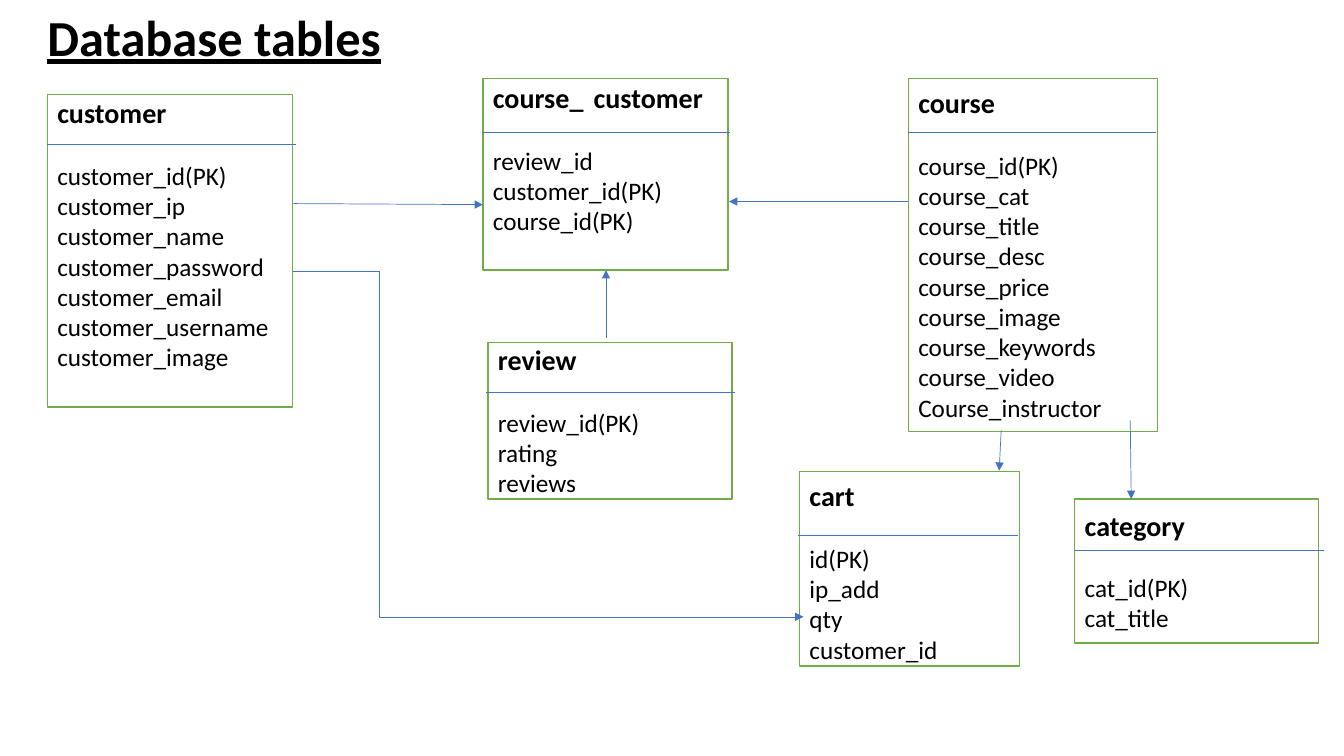
from pptx import Presentation
from pptx.dml.color import RGBColor
from pptx.enum.shapes import MSO_CONNECTOR as Link, MSO_SHAPE as Preset
from pptx.enum.text import MSO_ANCHOR as Anchor, MSO_AUTO_SIZE as AutoSize, PP_ALIGN as Align
from pptx.oxml.ns import qn
from pptx.util import Inches, Pt
from lxml.etree import SubElement

GREEN, BLUE, WHITE, BLACK = "70AD47", "4472C4", "FFFFFF", "000000"
TITLE_FONT = {"name": "Calibri", "size": Pt(36), "bold": True, "underline": True}
NAME_FONT = {"name": "Calibri", "size": Pt(20), "bold": True}
FIELD_FONT = {"name": "Calibri", "size": Pt(18), "bold": False}
FIELD_GAP = Pt(22)

ENTITIES = [
    {"name": "customer", "box": (0.47, 0.94, 2.43, 3.1), "inset": 0.01,
     "divider": (0.47, 1.43, 2.94),
     "fields": ["customer_id(PK)", "customer_ip", "customer_name", "customer_password",
                "customer_email", "customer_username", "customer_image"]},
    {"name": "course", "box": (9.01, 0.78, 2.47, 3.5), "inset": 0.07,
     "divider": (9.01, 1.31, 11.47),
     "fields": ["course_id(PK)", "course_cat", "course_title", "course_desc", "course_price",
                "course_image", "course_keywords", "course_video", "Course_instructor"]},
    {"name": "course_\tcustomer", "box": (4.79, 0.78, 2.43, 1.9), "inset": 0.02,
     "divider": (4.78, 1.31, 7.24),
     "fields": ["review_id", "customer_id(PK)", "course_id(PK)"]},
    {"name": "cart", "box": (7.93, 4.68, 2.18, 1.93), "inset": 0.07,
     "divider": (7.91, 5.31, 10.1),
     "fields": ["id(PK)", "ip_add", "qty", "customer_id"]},
    {"name": "category", "box": (10.66, 4.95, 2.42, 1.43), "inset": 0.09,
     "divider": (10.66, 5.46, 13.13),
     "fields": ["cat_id(PK)", "cat_title"]},
    {"name": "review", "box": (4.84, 3.4, 2.42, 1.55), "inset": 0,
     "divider": (4.82, 3.89, 7.29),
     "fields": ["review_id(PK)", "rating", "reviews"]},
]

RELATIONS = [
    (2.91, 2.02, 4.79, 2.03),
    (9.01, 2, 7.23, 2),
    (9.93, 4.27, 9.91, 4.67),
    (6.01, 3.35, 6.01, 2.68),
    (11.21, 4.17, 11.22, 4.95),
]
CUSTOMER_TO_CART = (2.91, 2.69, 7.97, 6.12)
CART_BEND = 16900


def rgb(value):
    return RGBColor.from_string(value)


def apply(target, values):
    for key, value in values.items():
        setattr(target, key, value)


def write(paragraph, text, font):
    run = paragraph.add_run()
    run.text = text
    apply(run.font, font)
    run.font.color.rgb = rgb(BLACK)


def add_title(slide, text):
    title = slide.shapes.title
    apply(title, {"left": Inches(0.37), "top": Inches(0.16),
                  "width": Inches(11.5), "height": Inches(0.48)})
    apply(title.text_frame, {"vertical_anchor": Anchor.MIDDLE, "auto_size": AutoSize.NONE})
    heading = title.text_frame.paragraphs[0]
    apply(heading, {"alignment": Align.LEFT, "line_spacing": 0.9})
    write(heading, text, TITLE_FONT)


def add_line(slide, ends, kind=Link.STRAIGHT):
    line = slide.shapes.add_connector(kind, *map(Inches, ends))
    line.line.color.rgb = rgb(BLUE)
    line.line.width = Pt(0.5)
    SubElement(line._element.spPr, qn("a:effectLst"))
    return line


def add_arrow(slide, ends, kind=Link.STRAIGHT):
    arrow = add_line(slide, ends, kind)
    SubElement(arrow.line._get_or_add_ln(), qn("a:tailEnd"), type="triangle")
    return arrow


def add_elbow_arrow(slide, ends, bend):
    arrow = add_arrow(slide, ends, Link.ELBOW)
    guides = arrow._element.spPr.find(qn("a:prstGeom")).find(qn("a:avLst"))
    SubElement(guides, qn("a:gd"), name="adj1", fmla=f"val {bend}")


def add_entity(slide, entity):
    box = slide.shapes.add_shape(Preset.RECTANGLE, *map(Inches, entity["box"]))
    box.shadow.inherit = False
    box.fill.solid()
    box.fill.fore_color.rgb = rgb(WHITE)
    box.line.color.rgb = rgb(GREEN)
    box.line.width = Pt(1)
    frame = box.text_frame
    apply(frame, {"word_wrap": True, "vertical_anchor": Anchor.TOP,
                  "margin_top": Inches(entity["inset"]), "margin_bottom": 0})
    heading = frame.paragraphs[0]
    heading.alignment = Align.LEFT
    write(heading, entity["name"], NAME_FONT)
    for index, field in enumerate(entity["fields"]):
        row = frame.add_paragraph()
        apply(row, {"alignment": Align.LEFT, "space_before": Pt(0) if index else FIELD_GAP})
        write(row, field, FIELD_FONT)
    left, y, right = entity["divider"]
    add_line(slide, (left, y, right, y))


def main():
    deck = Presentation()
    apply(deck, {"slide_width": Inches(13.33), "slide_height": Inches(7.5)})
    slide = deck.slides.add_slide(deck.slide_layouts[5])
    add_title(slide, "Database tables")
    for entity in ENTITIES:
        add_entity(slide, entity)
    for ends in RELATIONS:
        add_arrow(slide, ends)
    add_elbow_arrow(slide, CUSTOMER_TO_CART, CART_BEND)
    deck.save("out.pptx")


if __name__ == "__main__":
    main()
